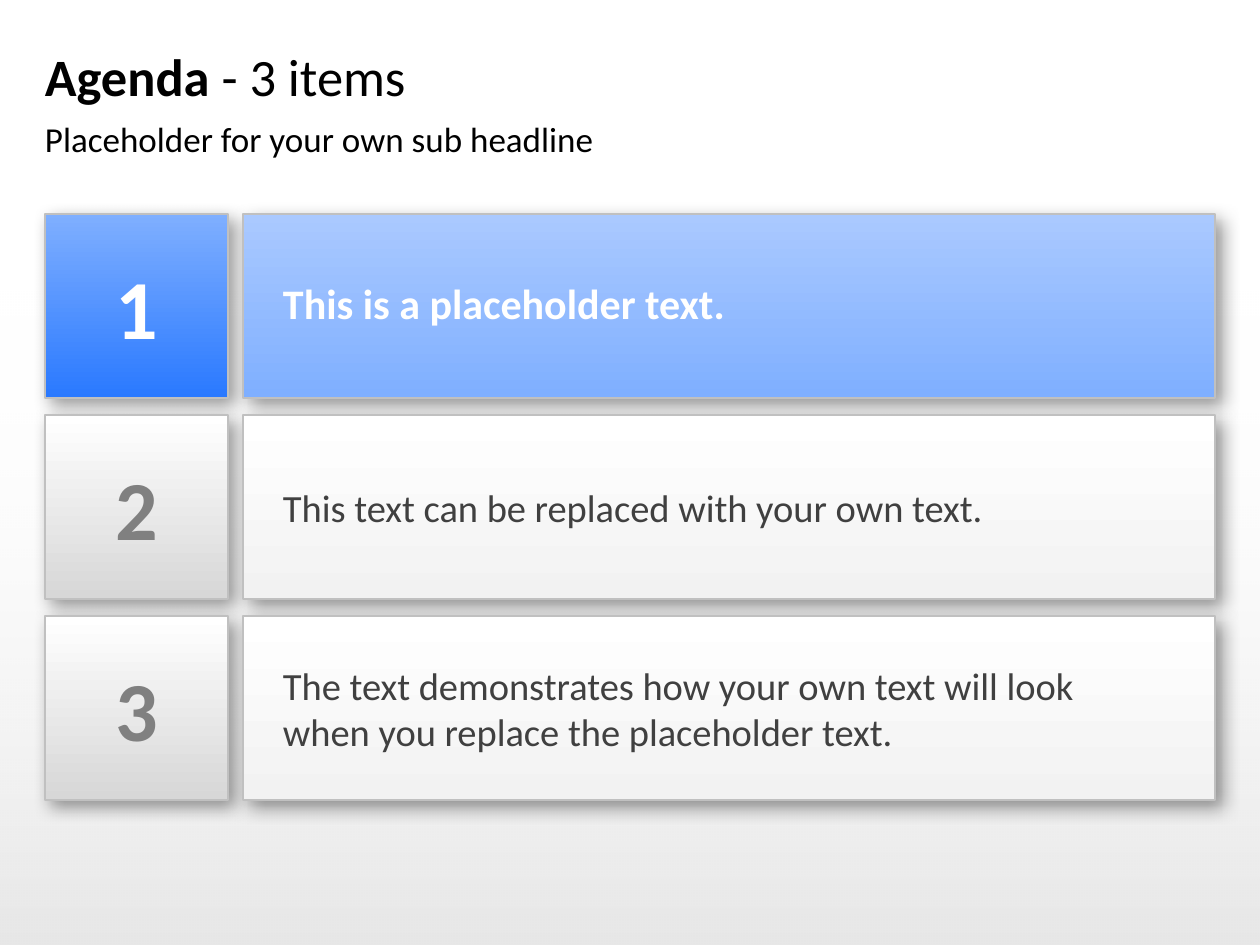
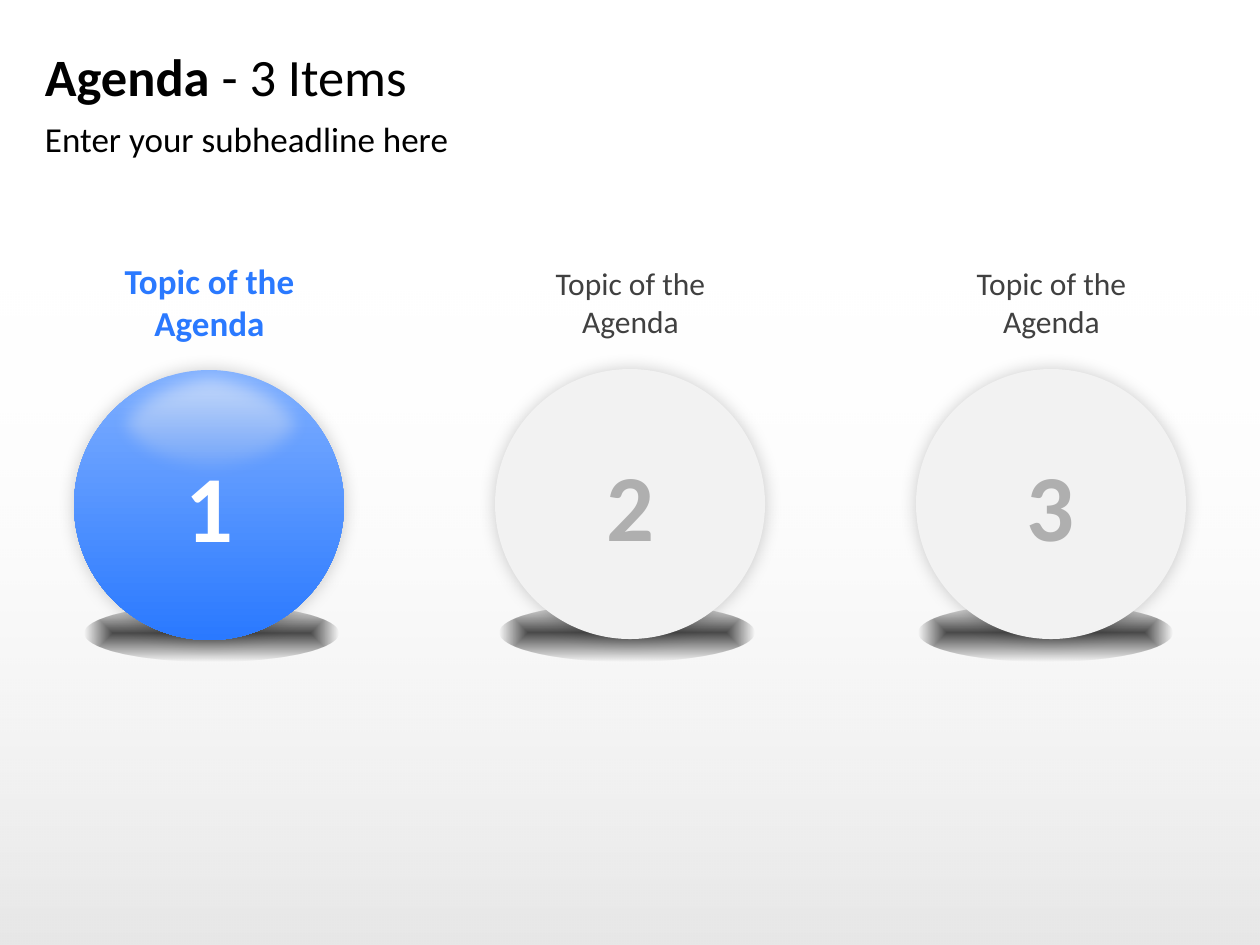
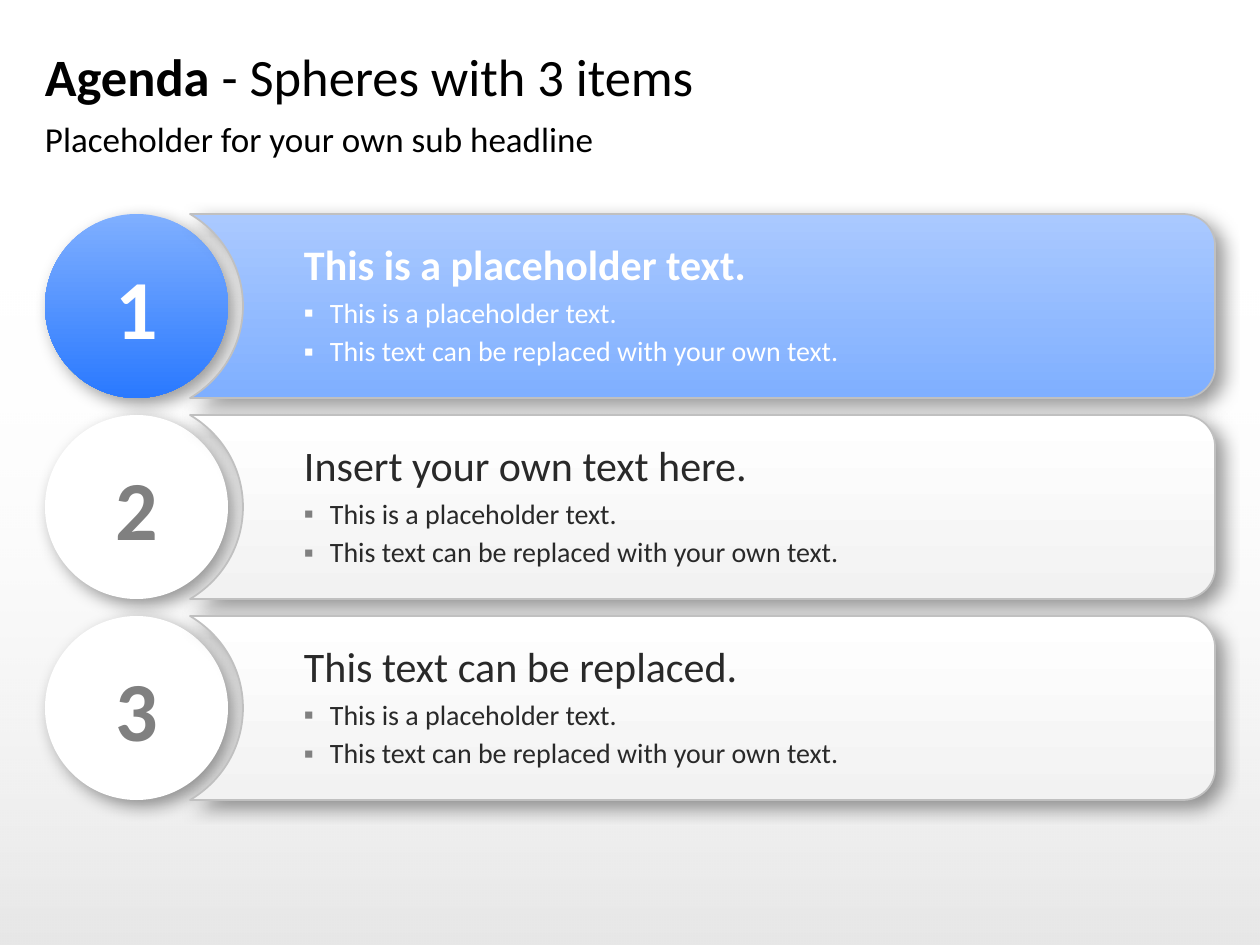
from dataclasses import dataclass
from typing import NamedTuple

from lxml.etree import SubElement
from pptx import Presentation
from pptx.dml.color import RGBColor
from pptx.enum.shapes import MSO_SHAPE
from pptx.enum.text import MSO_ANCHOR, MSO_AUTO_SIZE, PP_ALIGN
from pptx.oxml.ns import qn
from pptx.shapes.autoshape import Shape
from pptx.slide import Slide
from pptx.text.text import TextFrame, _Paragraph
from pptx.util import Emu, Pt

FONT = "Calibri"
BLACK = RGBColor(0x00, 0x00, 0x00)
WHITE = RGBColor(0xFF, 0xFF, 0xFF)
BLUE = RGBColor(0x2A, 0x79, 0xFF)
SKY = RGBColor(0x7F, 0xAF, 0xFF)
PALE = RGBColor(0xAA, 0xC9, 0xFF)
SMOKE = RGBColor(0xF2, 0xF2, 0xF2)
MIST = RGBColor(0xDD, 0xDD, 0xDD)
STEEL = RGBColor(0xD7, 0xD7, 0xD7)
EDGE = RGBColor(0xC0, 0xC0, 0xC0)
ASH = RGBColor(0xAF, 0xAF, 0xAF)
GREY = RGBColor(0x80, 0x80, 0x80)
SLATE = RGBColor(0x40, 0x40, 0x40)
INK = RGBColor(0x29, 0x29, 0x29)

WIDE, HIGH = 1260, 945
LEFT, RIGHT = 45, 1215
ROW_TOP, ROW_STEP, ROW_HIGH = 214, 201, 184
TILE, BAR_LEFT, NOTCH = 183, 243, 190
BALL_LEFT, BALL_STEP, BALL = 74, 421, 270


class Tone(NamedTuple):
    rgb: RGBColor
    alpha: int = 100


class Box(NamedTuple):
    x: int
    y: int
    w: int
    h: int


class Font(NamedTuple):
    size: int
    rgb: RGBColor
    bold: bool = False


class Shade(NamedTuple):
    alpha: int
    dist: int
    angle: int


DROP = Shade(40, 5, 45)
HALO = Shade(20, 0, 315)


@dataclass
class Row:
    num: str
    text: str
    lit: bool = False


@dataclass
class Ball:
    num: str
    col: int
    inset: int
    drop: int = 0
    lit: bool = False


ROWS = [
    Row("1", "This is a placeholder text.", True),
    Row("2", "This text can be replaced with your own text."),
    Row("3", "The text demonstrates how your own text will look \n"
             "when you replace the placeholder text."),
]
BALLS = [Ball("2", 1, 5), Ball("3", 2, 3), Ball("1", 0, 11, 1, True)]
TABS = [
    Row("1", "This is a placeholder text.", True),
    Row("2", "Insert your own text here."),
    Row("3", "This text can be replaced."),
]
POINTS = [
    "This is a placeholder text.",
    "This text can be replaced with your own text.",
]


def px(n: float) -> Emu:
    return Emu(round(n * 914400 / 126))


def write(para: _Paragraph, text: str, font: Font) -> None:
    for i, part in enumerate(text.split("\n")):
        if i:
            para.add_line_break()
        run = para.add_run()
        run.text = part
        run.font.name = FONT
        run.font.size = Pt(font.size)
        run.font.bold = font.bold
        run.font.color.rgb = font.rgb


def frame(shape: Shape, left: int = 0, right: int = 0, wrap: bool = True,
          anchor: MSO_ANCHOR = MSO_ANCHOR.MIDDLE) -> TextFrame:
    body = shape.text_frame
    body.margin_left, body.margin_right = px(left), px(right)
    body.margin_top = body.margin_bottom = 0
    body.word_wrap = wrap
    body.vertical_anchor = anchor
    return body


def label(shape: Shape, text: str, font: Font) -> None:
    para = frame(shape).paragraphs[0]
    para.alignment = PP_ALIGN.CENTER
    write(para, text, font)


def paint(shape: Shape, top: Tone, low: Tone) -> None:
    if top == low:
        shape.fill.solid()
        shape.fill.fore_color.rgb = top.rgb
        return
    shape.fill.gradient()
    shape.fill.gradient_angle = 270
    nodes = shape.element.spPr.iter(qn("a:gs"))
    for stop, tone, node in zip(shape.fill.gradient_stops, (top, low), nodes):
        stop.color.rgb = tone.rgb
        if tone.alpha < 100:
            SubElement(node[0], qn("a:alpha"), val=str(tone.alpha * 1000))


def dress(shape: Shape, top: Tone, low: Tone, shade: Shade | None = None,
          edge: bool = False) -> Shape:
    paint(shape, top, low)
    if edge:
        shape.line.color.rgb = EDGE
        shape.line.width = Pt(1)
    else:
        shape.line.fill.background()
    shape.shadow.inherit = False
    if shade:
        cast = SubElement(
            shape.element.spPr.find(qn("a:effectLst")), qn("a:outerShdw"),
            blurRad=str(Pt(10)), dist=str(Pt(shade.dist)),
            dir=str(shade.angle * 60000), algn="ctr", rotWithShape="0")
        rgb = SubElement(cast, qn("a:srgbClr"), val=str(BLACK))
        SubElement(rgb, qn("a:alpha"), val=str(shade.alpha * 1000))
    return shape


def place(slide: Slide, kind: MSO_SHAPE, box: Box) -> Shape:
    return slide.shapes.add_shape(kind, *map(px, box))


def add_band(deck: Presentation, slide: Slide) -> None:
    band = place(slide, MSO_SHAPE.RECTANGLE, Box(0, 278, WIDE, HIGH - 278))
    dress(band, Tone(WHITE, 0), Tone(BLACK, 10))
    band.element.nvSpPr.cNvPr.set("id", "20")
    tree = deck.slide_master.element.find(".//" + qn("p:spTree"))
    tree.insert(2, band.element)


def base(deck: Presentation, title: str, sub: str) -> Slide:
    slide = deck.slides.add_slide(deck.slide_layouts[6])
    wide = RIGHT - LEFT
    head = slide.shapes.add_textbox(*map(px, Box(LEFT, 34, wide, 84)))
    para = frame(head).paragraphs[0]
    write(para, "Agenda ", Font(30, BLACK, True))
    write(para, title, Font(30, BLACK))
    line = slide.shapes.add_textbox(*map(px, Box(LEFT, 117, wide, 47)))
    body = frame(line, anchor=MSO_ANCHOR.TOP)
    write(body.paragraphs[0], sub, Font(20, BLACK))
    return slide


def digit(lit: bool) -> Font:
    return Font(48, WHITE if lit else GREY, True)


def bar(shape: Shape, lit: bool) -> None:
    top, low = (PALE, SKY) if lit else (WHITE, SMOKE)
    dress(shape, Tone(top), Tone(low), DROP, True)


def add_row(slide: Slide, row: Row, top: int) -> None:
    tile = place(slide, MSO_SHAPE.RECTANGLE, Box(LEFT, top, TILE, ROW_HIGH))
    high, low = (SKY, BLUE) if row.lit else (WHITE, STEEL)
    dress(tile, Tone(high), Tone(low), DROP, True)
    label(tile, row.num, digit(row.lit))
    box = Box(BAR_LEFT, top, RIGHT - BAR_LEFT, ROW_HIGH)
    panel = place(slide, MSO_SHAPE.RECTANGLE, box)
    bar(panel, row.lit)
    para = frame(panel, 40, 0 if row.lit else 30).paragraphs[0]
    para.alignment = PP_ALIGN.LEFT
    if row.lit:
        para.line_spacing = 0.9
    write(para, row.text,
          Font(24, WHITE, True) if row.lit else Font(22, SLATE))


def add_ball(slide: Slide, ball: Ball) -> None:
    left = BALL_LEFT + ball.col * BALL_STEP
    font = Font(20, BLUE, True) if ball.lit else Font(18, SLATE)
    wide, high, top = (171, 84, 259) if ball.lit else (151, 77, 264)
    box = Box(left + (BALL - wide + 1) // 2, top, wide, high)
    topic = slide.shapes.add_textbox(*map(px, box))
    body = frame(topic, wrap=False, anchor=MSO_ANCHOR.TOP)
    body.auto_size = MSO_AUTO_SIZE.SHAPE_TO_FIT_TEXT
    body.paragraphs[0].alignment = PP_ALIGN.CENTER
    write(body.paragraphs[0], "Topic of the\nAgenda", font)

    box = Box(left + ball.inset, 604 + ball.drop, 254, 57)
    floor = place(slide, MSO_SHAPE.OVAL, box)
    dress(floor, Tone(BLACK, 70), Tone(BLACK, 0))
    grad = floor.element.spPr.find(qn("a:gradFill"))
    grad.remove(grad.find(qn("a:lin")))
    core = SubElement(grad, qn("a:path"), path="shape")
    SubElement(core, qn("a:fillToRect"), l="50000", t="50000",
               r="50000", b="50000")

    orb = place(slide, MSO_SHAPE.OVAL,
                Box(left, 369 + ball.drop, BALL, BALL))
    high, low = (SKY, BLUE) if ball.lit else (SMOKE, SMOKE)
    dress(orb, Tone(high), Tone(low), HALO)
    label(orb, ball.num, Font(54, WHITE if ball.lit else ASH, True))
    if ball.lit:
        gloss = place(slide, MSO_SHAPE.OVAL, Box(left + 31, 362, 212, 126))
        dress(gloss, Tone(WHITE, 68), Tone(MIST, 0))
        SubElement(gloss.element.spPr.find(qn("a:effectLst")),
                   qn("a:softEdge"), rad=str(Pt(10)))


def bend(shape: Shape, starts: list[int]) -> None:
    trail = shape.element.spPr.find(".//" + qn("a:path"))
    steps = list(trail)
    for start in starts:
        curve = SubElement(trail, qn("a:cubicBezTo"))
        trail.replace(steps[start], curve)
        for step in steps[start:start + 3]:
            curve.append(step[0])
        for step in steps[start + 1:start + 3]:
            trail.remove(step)


def outline(slide: Slide, top: int) -> Shape:
    half = [(BAR_LEFT, ROW_HIGH // 2), (BAR_LEFT, 53), (222, 19), (NOTCH, 0),
            (RIGHT - 32, 0), (RIGHT - 14, 0), (RIGHT, 14), (RIGHT, 31)]
    full = half + [(x, ROW_HIGH - y) for x, y in reversed(half)]
    spots = [(px(x), px(top + y)) for x, y in full]
    build = slide.shapes.build_freeform(*spots[0])
    build.add_line_segments(spots[1:], close=True)
    shape = build.convert_to_shape()
    bend(shape, [1, 5, 9, 13])
    return shape


def bullet(para: _Paragraph, rgb: RGBColor) -> None:
    props = para._p.get_or_add_pPr()
    props.set("marL", str(px(26)))
    props.set("indent", str(-px(26)))
    tint = SubElement(props, qn("a:buClr"))
    SubElement(tint, qn("a:srgbClr"), val=str(rgb))
    SubElement(props, qn("a:buFont"), typeface=FONT)
    SubElement(props, qn("a:buChar"), char="▪")


def add_tab(slide: Slide, row: Row, top: int) -> None:
    orb = place(slide, MSO_SHAPE.OVAL, Box(LEFT, top, TILE, ROW_HIGH))
    high, low = (SKY, BLUE) if row.lit else (WHITE, WHITE)
    dress(orb, Tone(high), Tone(low), DROP)
    label(orb, row.num, digit(row.lit))
    panel = outline(slide, top)
    bar(panel, row.lit)
    ink = WHITE if row.lit else INK
    body = frame(panel, 114)
    para = body.paragraphs[0]
    para.alignment = PP_ALIGN.LEFT
    para.line_spacing = 0.9
    para.space_after = Pt(4.8)
    write(para, row.text, Font(24, ink, row.lit))
    for point in POINTS:
        para = body.add_paragraph()
        bullet(para, WHITE if row.lit else GREY)
        para.alignment = PP_ALIGN.LEFT
        para.line_spacing = 0.95
        para.space_after = Pt(4)
        write(para, point, Font(16, ink))


def main() -> None:
    deck = Presentation()
    deck.slide_width, deck.slide_height = px(WIDE), px(HIGH)
    slide = base(deck, "- 3 items", "Placeholder for your own sub headline")
    add_band(deck, slide)
    for i, row in enumerate(ROWS):
        add_row(slide, row, ROW_TOP + i * ROW_STEP)
    slide = base(deck, "- 3 Items", "Enter your subheadline here")
    for ball in BALLS:
        add_ball(slide, ball)
    slide = base(deck, "- Spheres with 3 items",
                 "Placeholder for your own sub headline")
    for i, row in enumerate(TABS):
        add_tab(slide, row, ROW_TOP + i * ROW_STEP)
    deck.save("out.pptx")


if __name__ == "__main__":
    main()
